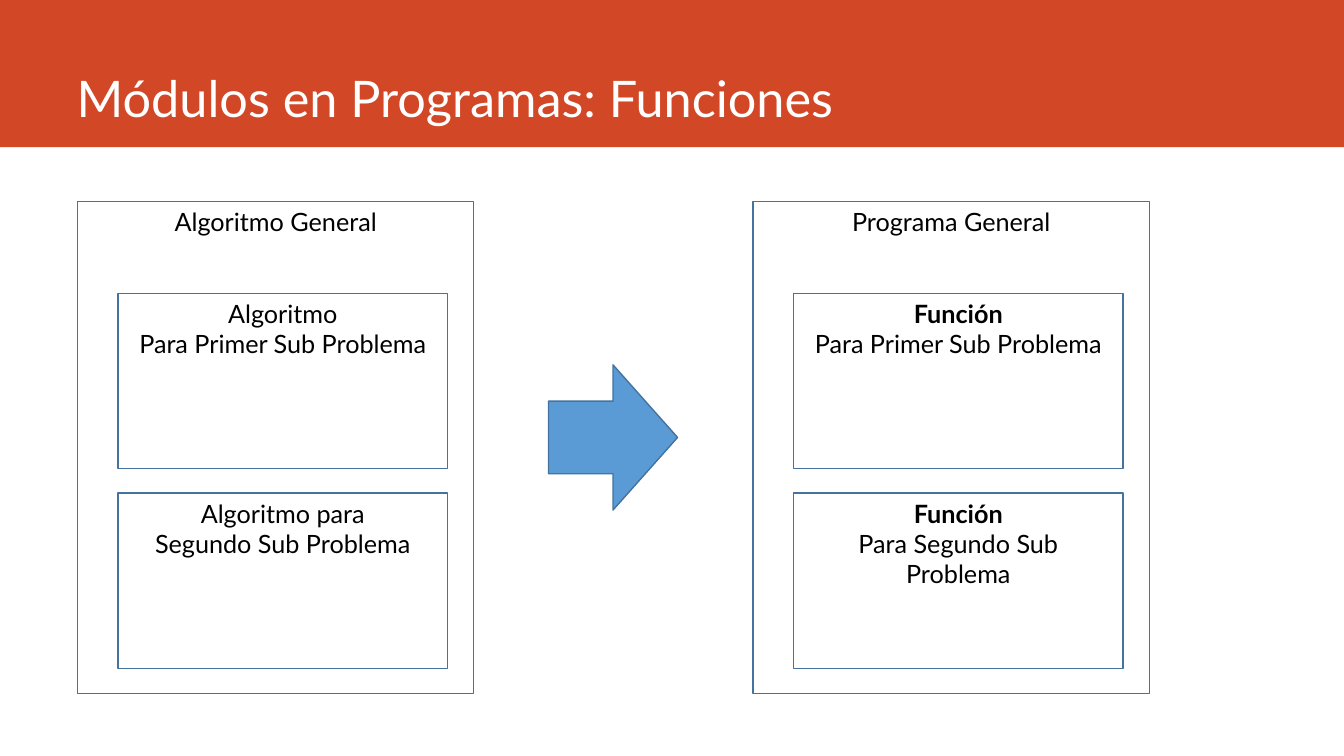
import pptx
import pptx.util
import pptx.dml.color
import pptx.enum.shapes
import pptx.enum.text

Inches = pptx.util.Inches
Pt = pptx.util.Pt
Kind = pptx.enum.shapes.MSO_SHAPE
Align = pptx.enum.text.PP_ALIGN
Anchor = pptx.enum.text.MSO_ANCHOR


def color(code):
    return pptx.dml.color.RGBColor.from_string(code)


def draw(kind, left, top, width, height, fill=None, line=None, lines=()):
    shape = slide.shapes.add_shape(
        kind, Inches(left), Inches(top), Inches(width), Inches(height))
    shape.shadow.inherit = False
    if fill:
        shape.fill.solid()
        shape.fill.fore_color.rgb = color(fill)
    else:
        shape.fill.background()
    if line:
        shape.line.color.rgb = color(line)
        shape.line.width = Pt(1)
    else:
        shape.line.fill.background()
    frame = shape.text_frame
    frame.word_wrap = True
    frame.vertical_anchor = Anchor.TOP
    frame.text = "\n".join(lines)
    for par in frame.paragraphs:
        par.alignment = Align.CENTER
        par.font.name = "Lato"
        par.font.size = Pt(18)
        par.font.color.rgb = color("000000")
        par.font.bold = par.text == "Función"
    return shape


deck = pptx.Presentation()
deck.slide_width = Inches(13.33)
deck.slide_height = Inches(7.5)
slide = deck.slides.add_slide(deck.slide_layouts[5])

title = slide.shapes.title
band = draw(Kind.RECTANGLE, 0, 0, 13.33, 1.46, fill="D24726")
title.element.addprevious(band.element)

title.left, title.top = Inches(0.66), Inches(0)
title.width, title.height = Inches(11.76), Inches(1.32)
frame = title.text_frame
frame.text = "Módulos en Programas: Funciones"
frame.vertical_anchor = Anchor.BOTTOM
frame.auto_size = pptx.enum.text.MSO_AUTO_SIZE.NONE
head = frame.paragraphs[0]
head.alignment = Align.LEFT
head.font.name = "Lato"
head.font.size = Pt(36)
head.font.color.rgb = color("FFFFFF")

edge = "43739E"
panels = [
    (0.77, "Algoritmo General", [
        ("Algoritmo", "Para Primer Sub Problema"),
        ("Algoritmo para", "Segundo Sub Problema")]),
    (7.47, "Programa General", [
        ("Función", "Para Primer Sub Problema"),
        ("Función", "Para Segundo Sub Problema")]),
]
for left, name, parts in panels:
    draw(Kind.RECTANGLE, left, 2, 3.93, 4.88, line=edge, lines=[name])
    for row, part in enumerate(parts):
        draw(Kind.RECTANGLE, left + 0.4, 2.91 + 1.98 * row, 3.27, 1.74,
             line=edge, lines=part)

draw(Kind.RIGHT_ARROW, 5.44, 3.62, 1.28, 1.44, fill="5B9BD5", line=edge)

deck.save("out.pptx")
